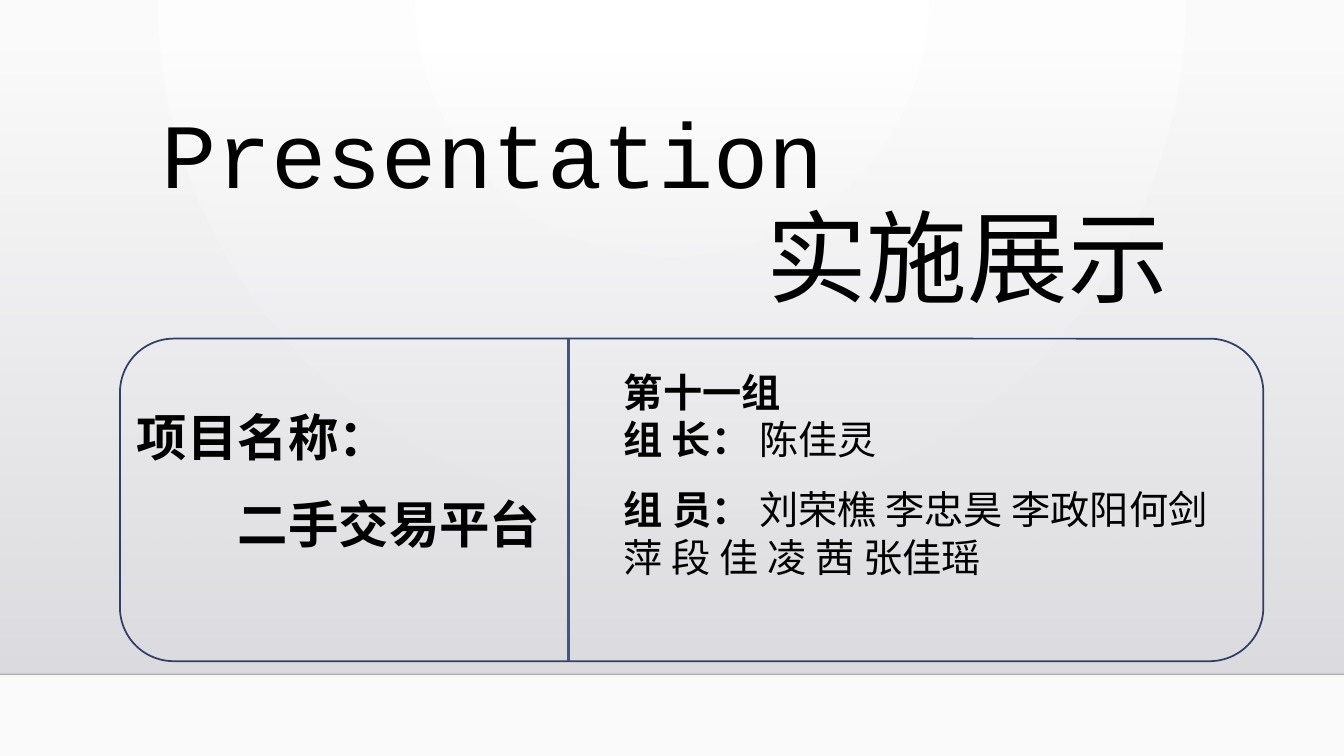
import pptx
import pptx.util
import pptx.dml.color
import pptx.enum.shapes
import pptx.enum.text
import pptx.oxml
from pptx.oxml.ns import nsdecls, qn

RGBColor = pptx.dml.color.RGBColor
SHAPE = pptx.enum.shapes.MSO_SHAPE
ANCHOR = pptx.enum.text.MSO_ANCHOR
Pt, Inches = pptx.util.Pt, pptx.util.Inches

WIDTH, HEIGHT = 13.33, 7.5
CARD_LEFT, CARD_TOP, CARD_WIDTH, CARD_HEIGHT = 1.19, 3.36, 11.34, 3.2
DIVIDER_X = 5.64
GROUP_LEFT = 6.09
FLOOR_Y = 6.69
SHADE_TOP = 0.51
TAB = 1.0

BLACK = RGBColor(0x00, 0x00, 0x00)
WHITE = RGBColor(0xFF, 0xFF, 0xFF)
NEAR_WHITE = RGBColor(0xFA, 0xFA, 0xFA)
SHADE_LIGHT = RGBColor(0xDC, 0xDC, 0xE0)
SHADE_DARK = RGBColor(0xDE, 0xDE, 0xE2)
CARD_LINE = RGBColor(0x30, 0x3F, 0x65)
DIVIDER_LINE = RGBColor(0x41, 0x55, 0x88)

MONO, SERIF, CJK = "Courier New", "Times New Roman", "Noto Sans CJK SC"


def gradient(stops, direction):
    """Return a gradFill element; stops are (percent, colour, opacity percent)."""
    gs = "".join(
        f'<a:gs pos="{pos * 1000}"><a:srgbClr val="{color}">'
        f'<a:alpha val="{opacity * 1000}"/></a:srgbClr></a:gs>'
        for pos, color, opacity in stops)
    return pptx.oxml.parse_xml(
        f'<a:gradFill {nsdecls("a")} rotWithShape="1">'
        f'<a:gsLst>{gs}</a:gsLst>{direction}</a:gradFill>')


def replace_fill(parent, fill):
    old = parent.find(qn("a:gradFill"))
    parent.replace(old, fill)


def set_background(slide):
    slide.background.fill.gradient()
    bg_pr = next(slide._element.iter(qn("p:bgPr")))
    replace_fill(bg_pr, gradient(
        [(0, WHITE, 100), (100, NEAR_WHITE, 100)],
        '<a:path path="circle"><a:fillToRect l="43000" t="0" '
        'r="43000" b="100000"/></a:path>'))


def add_shape(slide, kind, left, top, width, height):
    sp = slide.shapes.add_shape(
        kind, Inches(left), Inches(top), Inches(width), Inches(height))
    sp.shadow.inherit = False
    return sp


def add_shade(slide):
    sp = add_shape(slide, SHAPE.RECTANGLE, 0, SHADE_TOP, WIDTH, FLOOR_Y - SHADE_TOP)
    sp.line.fill.background()
    sp.fill.gradient()
    replace_fill(sp._element.spPr, gradient(
        [(0, SHADE_LIGHT, 0), (100, SHADE_DARK, 100)],
        '<a:lin ang="5400000" scaled="0"/>'))


def add_card(slide):
    sp = add_shape(slide, SHAPE.ROUNDED_RECTANGLE,
                   CARD_LEFT, CARD_TOP, CARD_WIDTH, CARD_HEIGHT)
    sp.fill.background()
    sp.line.color.rgb = CARD_LINE
    sp.line.width = Pt(1.25)


def add_line(slide, x1, y1, x2, y2, color, width, opacity=100):
    line = slide.shapes.add_connector(
        pptx.enum.shapes.MSO_CONNECTOR.STRAIGHT,
        Inches(x1), Inches(y1), Inches(x2), Inches(y2))
    line.line.color.rgb = color
    line.line.width = Pt(width)
    sp_pr = line._element.spPr
    alpha = pptx.oxml.parse_xml(
        f'<a:alpha {nsdecls("a")} val="{opacity * 1000}"/>')
    next(sp_pr.iter(qn("a:srgbClr"))).append(alpha)
    sp_pr.append(pptx.oxml.parse_xml(f'<a:effectLst {nsdecls("a")}/>'))


def add_box(slide, left, top, width, height, anchor=ANCHOR.TOP, inset=(0.05, 0.05)):
    """Add an empty text box with (top, bottom) insets and return its frame."""
    tf = slide.shapes.add_textbox(
        Inches(left), Inches(top), Inches(width), Inches(height)).text_frame
    tf.word_wrap = True
    tf.vertical_anchor = anchor
    tf.margin_top, tf.margin_bottom = Inches(inset[0]), Inches(inset[1])
    return tf


def add_paragraph(tf, *, indent=0, spacing=1.0, before=0):
    first = tf.paragraphs[0]
    p = tf.add_paragraph() if first.runs else first
    p.line_spacing = spacing
    if before:
        p.space_before = Pt(before)
    if indent:
        p._p.get_or_add_pPr().set("marL", str(Inches(indent)))
    return p


def add_text(p, text, *, size=28, font=CJK, bold=False):
    r = p.add_run()
    r.text = text
    r.font.size = Pt(size)
    r.font.name = font
    r.font.bold = bold
    r.font.color.rgb = BLACK
    r.font._element.find(qn("a:latin")).addnext(
        pptx.oxml.parse_xml(f'<a:ea {nsdecls("a")} typeface="{CJK}"/>'))


def add_title(slide):
    tf = add_box(slide, 1.5, 1.23, 10.71, 1.92, ANCHOR.BOTTOM, (0.05, 0))
    add_text(add_paragraph(tf, spacing=0.9), "Presentation", size=65.7, font=MONO)
    add_text(add_paragraph(tf, spacing=0.9, indent=6 * TAB), "实施展示", size=72)


def add_project(slide):
    tf = add_box(slide, 1.26, 3.81, 4.39, 2.26, inset=(0.1, 0.1))
    for text, indent, before in (("项目名称：", 0, 0), ("二手交易平台", TAB, 10)):
        p = add_paragraph(tf, indent=indent, spacing=1.2, before=before)
        add_text(p, text, size=36, font=SERIF, bold=True)


def add_group(slide):
    tf = add_box(slide, GROUP_LEFT, 3.6, 5.74, 1.04)
    add_text(add_paragraph(tf), "第十一组", bold=True)
    leader = add_paragraph(tf)
    members = add_paragraph(add_box(slide, GROUP_LEFT, 4.77, 5.99, 1.35))
    for p, role, names in (
            (leader, "组 长： ", "陈佳灵"),
            (members, "组 员： ", "刘荣樵 李忠昊 李政阳何剑萍 段 佳 凌 茜 张佳瑶")):
        add_text(p, role, bold=True)
        add_text(p, names)


def main():
    prs = pptx.Presentation()
    prs.slide_width, prs.slide_height = Inches(WIDTH), Inches(HEIGHT)
    slide = prs.slides.add_slide(prs.slide_layouts[6])
    set_background(slide)
    add_shade(slide)
    add_line(slide, 0, FLOOR_Y, WIDTH, FLOOR_Y, BLACK, 1, opacity=20)
    add_title(slide)
    add_project(slide)
    add_card(slide)
    add_group(slide)
    add_line(slide, DIVIDER_X, CARD_TOP, DIVIDER_X, CARD_TOP + CARD_HEIGHT,
             DIVIDER_LINE, 2.25)
    prs.save("out.pptx")


if __name__ == "__main__":
    main()
